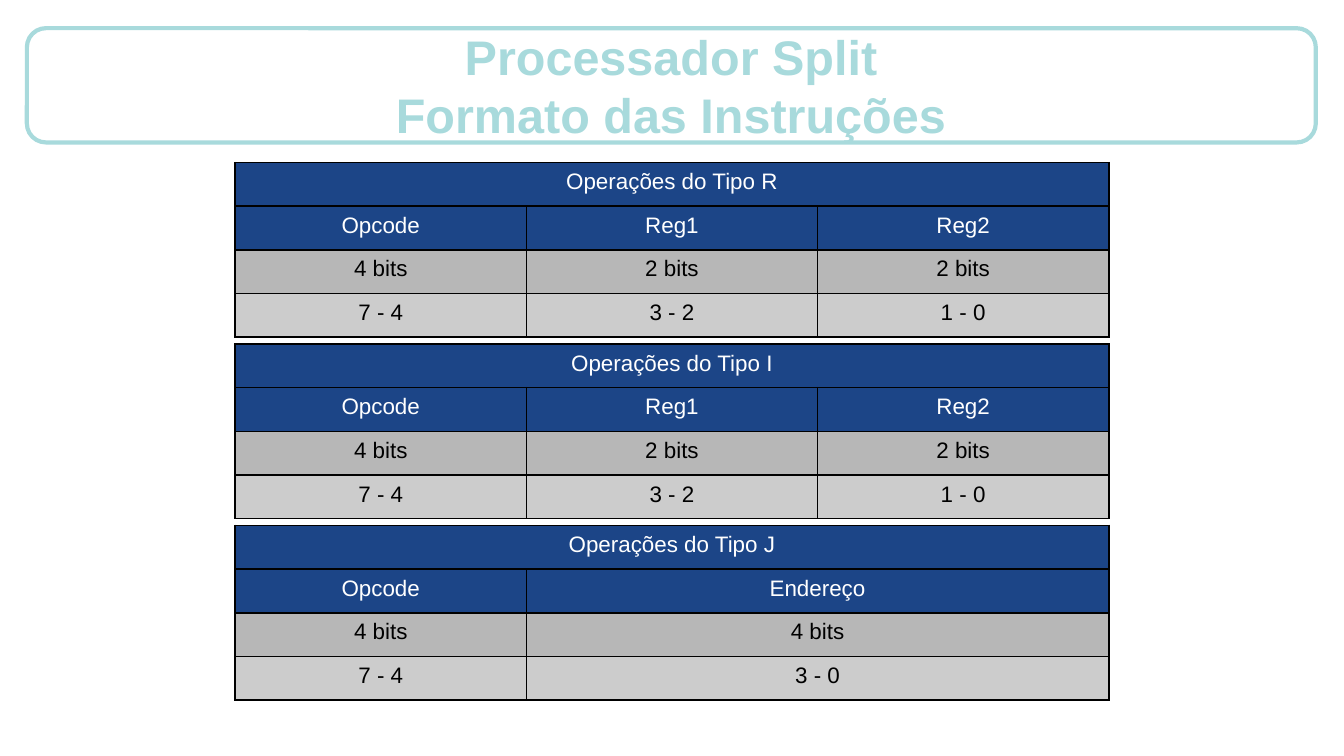
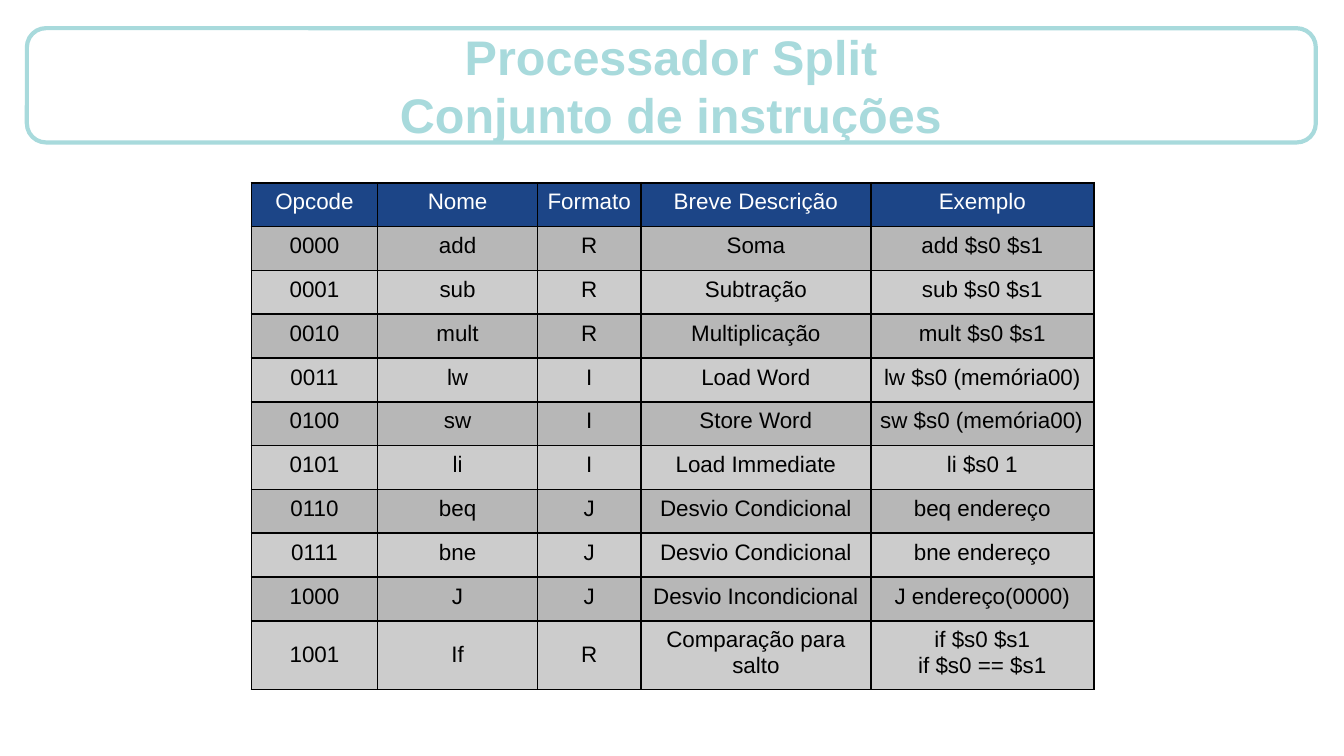
from lxml import etree
from pptx import Presentation
from pptx.dml.color import RGBColor
from pptx.enum import shapes, text
from pptx.oxml.ns import qn
from pptx.util import Inches, Pt

COLORS = {
    "title": "A8DADC",
    "header": "1C4587",
    "header_text": "FFFFFF",
    "band_dark": "B7B7B7",
    "band_light": "CCCCCC",
    "body_text": "000000",
    "border": "000000",
}
FONT = "Arial"
PRODUCT = "Processador Split"

# Instruction formats: (name, column shares, rows)
REGISTER_ROWS = [
    ["Opcode", "Reg1", "Reg2"],
    ["4 bits", "2 bits", "2 bits"],
    ["7 - 4", "3 - 2", "1 - 0"],
]
ADDRESS_ROWS = [["Opcode", "Endereço"], ["4 bits", "4 bits"], ["7 - 4", "3 - 0"]]
FORMATS = [
    ("R", [1, 1, 1], REGISTER_ROWS),
    ("I", [1, 1, 1], REGISTER_ROWS),
    ("J", [1, 2], ADDRESS_ROWS),
]
FORMAT_WIDTH, FORMAT_HEIGHT = 6.5, 1.3

INSTRUCTIONS = [
    ["Opcode", "Nome", "Formato", "Breve Descrição", "Exemplo"],
    ["0000", "add", "R", "Soma", "add $s0 $s1"],
    ["0001", "sub", "R", "Subtração", "sub $s0 $s1"],
    ["0010", "mult", "R", "Multiplicação", "mult $s0 $s1"],
    ["0011", "lw", "I", "Load Word", "lw $s0 (memória00)"],
    ["0100", "sw", "I", "Store Word", "sw $s0 (memória00)"],
    ["0101", "li", "I", "Load Immediate", "li $s0 1"],
    ["0110", "beq", "J", "Desvio Condicional", "beq endereço"],
    ["0111", "bne", "J", "Desvio Condicional", "bne endereço"],
    ["1000", "J", "J", "Desvio Incondicional", "J endereço(0000)"],
    ["1001", "If", "R", "Comparação para salto", "if $s0 $s1\nif $s0 == $s1"],
]
INSTRUCTION_WIDTHS = [0.94, 1.19, 0.77, 1.71, 1.66]
TABLE_HEIGHT, LAST_HEIGHT = 3.77, 0.51
STORE_ROW, EXAMPLE_COLUMN = 5, 4


def color(name):
    return RGBColor.from_string(COLORS[name])


def write_lines(frame, lines, size, color_name, bold=False):
    """Write centred paragraphs, one for each line."""
    for index, line in enumerate(lines):
        paragraph = frame.paragraphs[0] if index == 0 else frame.add_paragraph()
        paragraph.alignment = text.PP_ALIGN.CENTER
        run = paragraph.add_run()
        run.text = line
        run.font.name = FONT
        run.font.size = Pt(size)
        run.font.bold = bold
        run.font.color.rgb = color(color_name)


def add_title(slide, topic):
    shape = slide.shapes.add_shape(
        shapes.MSO_SHAPE.ROUNDED_RECTANGLE,
        Inches(0.2), Inches(0.21), Inches(9.59), Inches(0.85))
    shape.shadow.inherit = False
    shape.fill.background()
    shape.line.color.rgb = color("title")
    shape.line.width = Pt(2.25)
    frame = shape.text_frame
    frame.word_wrap = True
    frame.vertical_anchor = text.MSO_ANCHOR.MIDDLE
    frame.margin_left = frame.margin_right = Inches(0.1)
    frame.margin_top = frame.margin_bottom = Inches(0.1)
    write_lines(frame, [PRODUCT, topic], 26, "title", bold=True)


def add_borders(cell):
    properties = cell._tc.get_or_add_tcPr()
    for side in ("a:lnL", "a:lnR", "a:lnT", "a:lnB"):
        line = etree.SubElement(properties, qn(side), w=str(Pt(0.96)))
        fill = etree.SubElement(line, qn("a:solidFill"))
        etree.SubElement(fill, qn("a:srgbClr"), val=COLORS["border"])


def style_cell(cell, fill_name):
    cell.margin_left = cell.margin_right = Inches(0.07)
    cell.margin_top = cell.margin_bottom = Inches(0.05)
    add_borders(cell)
    cell.fill.solid()
    cell.fill.fore_color.rgb = color(fill_name)


def add_grid(slide, left, top, widths, heights, rows, header_count):
    """Add a table with header rows above alternating grey rows."""
    table = slide.shapes.add_table(
        len(rows), len(widths), Inches(left), Inches(top),
        Inches(sum(widths)), Inches(sum(heights))).table
    table.first_row = table.horz_banding = False
    for column, width in zip(table.columns, widths):
        column.width = Inches(width)
    for row, height in zip(table.rows, heights):
        row.height = Inches(height)

    for row_index, values in enumerate(rows):
        is_header = row_index < header_count
        is_dark = (row_index - header_count) % 2 == 0
        fill_name = "header" if is_header else "band_dark" if is_dark else "band_light"
        for column_index in range(len(widths)):
            cell = table.cell(row_index, column_index)
            style_cell(cell, fill_name)
            if column_index < len(values):
                write_lines(cell.text_frame, values[column_index].split("\n"), 12,
                            "header_text" if is_header else "body_text")
    return table


def build_formats(slide):
    add_title(slide, "Formato das Instruções")
    for index, (name, shares, rows) in enumerate(FORMATS):
        widths = [FORMAT_WIDTH * share / sum(shares) for share in shares]
        all_rows = [[f"Operações do Tipo {name}"]] + rows
        heights = [FORMAT_HEIGHT / len(all_rows)] * len(all_rows)
        table = add_grid(slide, 1.75, 1.21 + 1.35 * index, widths, heights,
                         all_rows, header_count=2)
        table.cell(0, 0).merge(table.cell(0, len(widths) - 1))


def build_instruction_set(slide):
    add_title(slide, "Conjunto de instruções")
    last_row = len(INSTRUCTIONS) - 1
    heights = [(TABLE_HEIGHT - LAST_HEIGHT) / last_row] * last_row + [LAST_HEIGHT]
    table = add_grid(slide, 1.87, 1.36, INSTRUCTION_WIDTHS, heights,
                     INSTRUCTIONS, header_count=1)
    # The longest example starts at the left margin
    example = table.cell(STORE_ROW, EXAMPLE_COLUMN).text_frame.paragraphs[0]
    example.alignment = text.PP_ALIGN.LEFT
    # Centre the short cells beside the two-line ones
    for column_index in range(3):
        table.cell(last_row, column_index).vertical_anchor = text.MSO_ANCHOR.MIDDLE


def main():
    presentation = Presentation()
    # Widescreen, 16:9
    presentation.slide_width = Inches(10)
    presentation.slide_height = Inches(10 * 9 / 16)
    for build in (build_formats, build_instruction_set):
        build(presentation.slides.add_slide(presentation.slide_layouts[6]))
    presentation.save("out.pptx")


if __name__ == "__main__":
    main()
